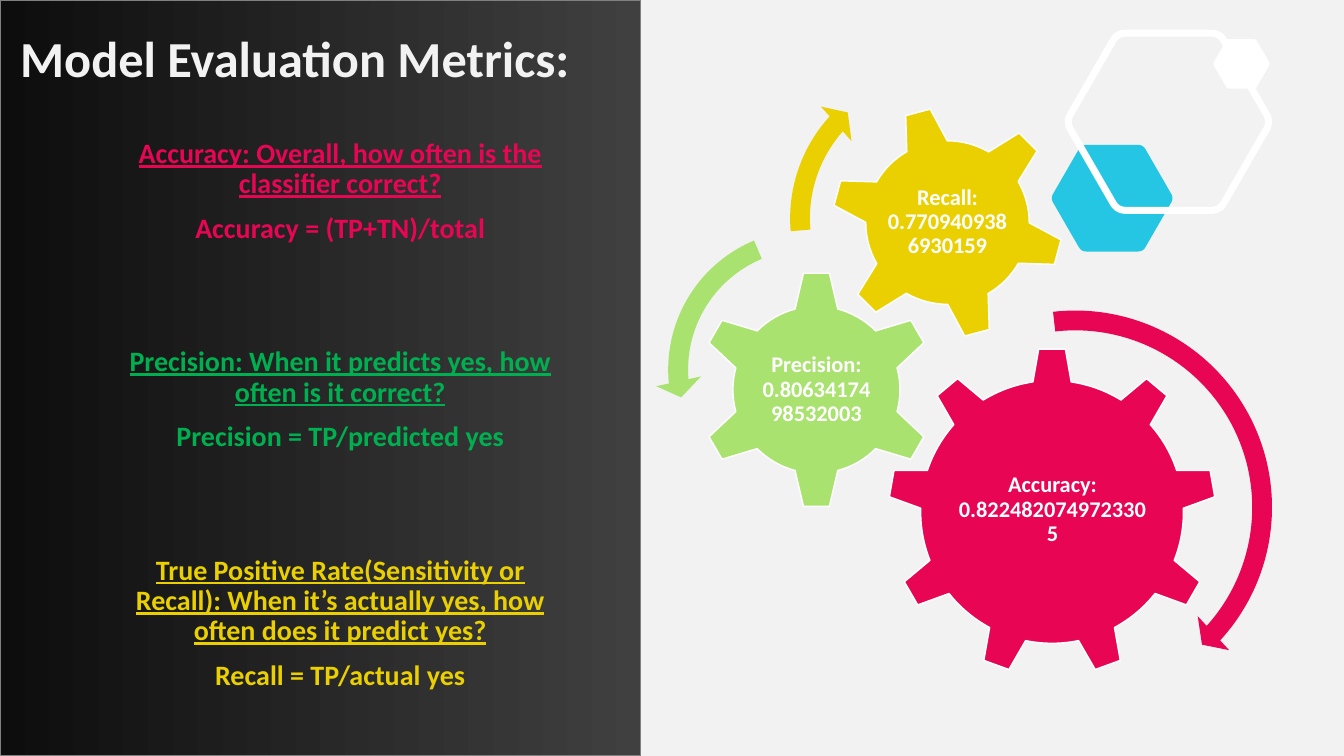
import math
from dataclasses import dataclass

from pptx import Presentation
from pptx import util as u
from pptx.dml import color
from pptx.enum import shapes, text


@dataclass(frozen=True)
class Theme:
    font: str = "Calibri"
    background: str = "F2F2F2"
    panel_light: str = "404040"
    panel_dark: str = "0D0D0D"
    panel_line: str = "808080"
    white: str = "FFFFFF"
    cyan: str = "25C6E3"
    pink: str = "E80554"
    lime: str = "A9E26F"
    green: str = "00B050"
    yellow: str = "EAD000"
    title_size: int = 36
    body_size: int = 20
    label_size: int = 16


def rgb(value):
    return color.RGBColor.from_string(value)


class SlideBuilder:
    """Places elements on a grid of 160 columns by 90 rows."""

    COLUMNS, ROWS = 160, 90

    def __init__(self, presentation, theme):
        self.theme = theme
        self.column = presentation.slide_width / self.COLUMNS
        self.row = presentation.slide_height / self.ROWS
        self.slide = presentation.slides.add_slide(presentation.slide_layouts[5])
        self.slide.background.fill.solid()
        self.slide.background.fill.fore_color.rgb = rgb(theme.background)

    def box(self, left, top, width, height):
        return (round(left * self.column), round(top * self.row),
                round(width * self.column), round(height * self.row))

    def paint(self, shape, fill=None, line=None, line_width=1):
        shape.shadow.inherit = False
        if fill:
            shape.fill.solid()
            shape.fill.fore_color.rgb = rgb(fill)
        else:
            shape.fill.background()
        if line:
            shape.line.color.rgb = rgb(line)
            shape.line.width = u.Pt(line_width)
        else:
            shape.line.fill.background()

    def frame(self, shape, insets, anchor):
        frame = shape.text_frame
        frame.word_wrap = True
        frame.auto_size = text.MSO_AUTO_SIZE.NONE
        frame.vertical_anchor = anchor
        (frame.margin_left, frame.margin_top,
         frame.margin_right, frame.margin_bottom) = map(u.Inches, insets)
        return frame

    def add_words(self, paragraph, words, size, ink, align=text.PP_ALIGN.CENTER,
                  spacing=0.9, before=0, underline=False):
        paragraph.alignment = align
        paragraph.line_spacing = spacing
        paragraph.space_before = u.Pt(before)
        run = paragraph.add_run()
        run.text = words
        run.font.name = self.theme.font
        run.font.size = u.Pt(size)
        run.font.bold = True
        run.font.underline = underline
        run.font.color.rgb = rgb(ink)

    def title_panel(self, words, *place):
        title = self.slide.shapes.title
        title.left, title.top, title.width, title.height = self.box(*place)
        title.fill.gradient()
        title.fill.gradient_angle = 180
        stops = title.fill.gradient_stops
        for stop, position, shade in zip(
                stops, (0, 1), (self.theme.panel_light, self.theme.panel_dark)):
            stop.position = position
            stop.color.rgb = rgb(shade)
        title.line.color.rgb = rgb(self.theme.panel_line)
        title.line.width = u.Pt(0.75)
        frame = self.frame(title, (0.2, 0.31, 0.2, 0.2), text.MSO_ANCHOR.TOP)
        self.add_words(frame.paragraphs[0], words, self.theme.title_size,
                       self.theme.background, text.PP_ALIGN.LEFT, u.Pt(40))

    def definitions(self, entries, *place):
        shape = self.slide.shapes.add_textbox(*self.box(*place))
        frame = self.frame(shape, (0, 0, 0, 0), text.MSO_ANCHOR.TOP)
        for index, (question, formula, ink) in enumerate(entries):
            heading = frame.add_paragraph() if index else frame.paragraphs[0]
            self.add_words(heading, question, self.theme.body_size, ink,
                           before=74 if index else 0, underline=True)
            self.add_words(frame.add_paragraph(), formula,
                           self.theme.body_size, ink, before=10)

    def gear(self, kind, left, top, size, fill, rotation=0):
        shape = self.slide.shapes.add_shape(kind, *self.box(left, top, size, size))
        shape.rotation = rotation
        self.paint(shape, fill, self.theme.white)

    def label(self, words, *place):
        shape = self.slide.shapes.add_textbox(*self.box(*place))
        frame = self.frame(shape, (0.02,) * 4, text.MSO_ANCHOR.MIDDLE)
        self.add_words(frame.paragraphs[0], words, self.theme.label_size,
                       self.theme.white)

    def arrow(self, kind, left, top, size, fill, adjustments):
        shape = self.slide.shapes.add_shape(kind, *self.box(left, top, size, size))
        for index, value in enumerate(adjustments):
            shape.adjustments[index] = value
        self.paint(shape, fill)

    def hexagon(self, center_x, center_y, height, **style):
        """Regular hexagon whose corners are rounded by short curves."""
        radius, trim, steps = height / math.sqrt(3), 0.083, 6
        corners = [(center_x + radius * math.cos(math.radians(60 * k)),
                    center_y + radius * math.sin(math.radians(60 * k)))
                   for k in range(6)]
        points = []
        for k, corner in enumerate(corners):
            before, after = corners[k - 1], corners[(k + 1) % 6]
            for step in range(steps + 1):
                t = step / steps
                x, y = (c + trim * ((1 - t) ** 2 * (b - c) + t ** 2 * (a - c))
                        for b, c, a in zip(before, corner, after))
                points.append((round(x * self.column), round(y * self.row)))
        builder = self.slide.shapes.build_freeform(*points[0])
        builder.add_line_segments(points[1:], close=True)
        self.paint(builder.convert_to_shape(), **style)


def main():
    presentation = Presentation()
    presentation.slide_width = u.Inches(13.33)
    presentation.slide_height = u.Inches(7.5)
    theme = Theme()
    page = SlideBuilder(presentation, theme)
    kinds = shapes.MSO_SHAPE

    # Corner hexagons
    page.hexagon(132.4, 23.6, 12.7, fill=theme.cyan)
    page.hexagon(139.1, 14.5, 21.1, line=theme.white, line_width=5)
    page.hexagon(147.8, 7.6, 5.9, fill=theme.white)

    # Dark panel with title and definitions
    page.title_panel("Model Evaluation Metrics:", 0, 0, 76.3, 90)
    page.definitions([
        ("Accuracy: Overall, how often is the classifier correct?",
         "Accuracy = (TP+TN)/total", theme.pink),
        ("Precision: When it predicts yes, how often is it correct?",
         "Precision = TP/predicted yes", theme.green),
        ("True Positive Rate(Sensitivity or Recall): When it’s actually yes, "
         "how often does it predict yes?",
         "Recall = TP/actual yes", theme.yellow),
    ], 14.2, 16.6, 52.6, 66)

    # Gears with their scores
    page.gear(kinds.GEAR_9, 105.7, 41.4, 39.1, theme.pink)
    page.label("Accuracy: 0.8224820749723305", 113.6, 50.6, 23.4, 20.2)
    page.gear(kinds.GEAR_6, 83, 32.2, 28.4, theme.lime)
    page.label("Precision: 0.8063417498532003", 90.1, 39.4, 14.2, 14)
    page.gear(kinds.GEAR_6, 98.9, 12.6, 27.8, theme.yellow, 345)
    page.label("Recall: 0.7709409386930159", 105, 18.7, 15.6, 15.6)

    # Turning arrows
    page.arrow(kinds.CIRCULAR_ARROW, 103, 35.4, 50, theme.pink,
               (0.047, 2.99, 25.39, 158.12, 0.055))
    page.arrow(kinds.LEFT_CIRCULAR_ARROW, 78, 25.8, 36.4, theme.lime,
               (0.065, 4.3, 104.89, 148.38, 0.075))
    page.arrow(kinds.CIRCULAR_ARROW, 92.5, 6.4, 39.2, theme.yellow,
               (0.06, 3.94, 133.14, 105.08, 0.07))

    presentation.save("out.pptx")


if __name__ == "__main__":
    main()
